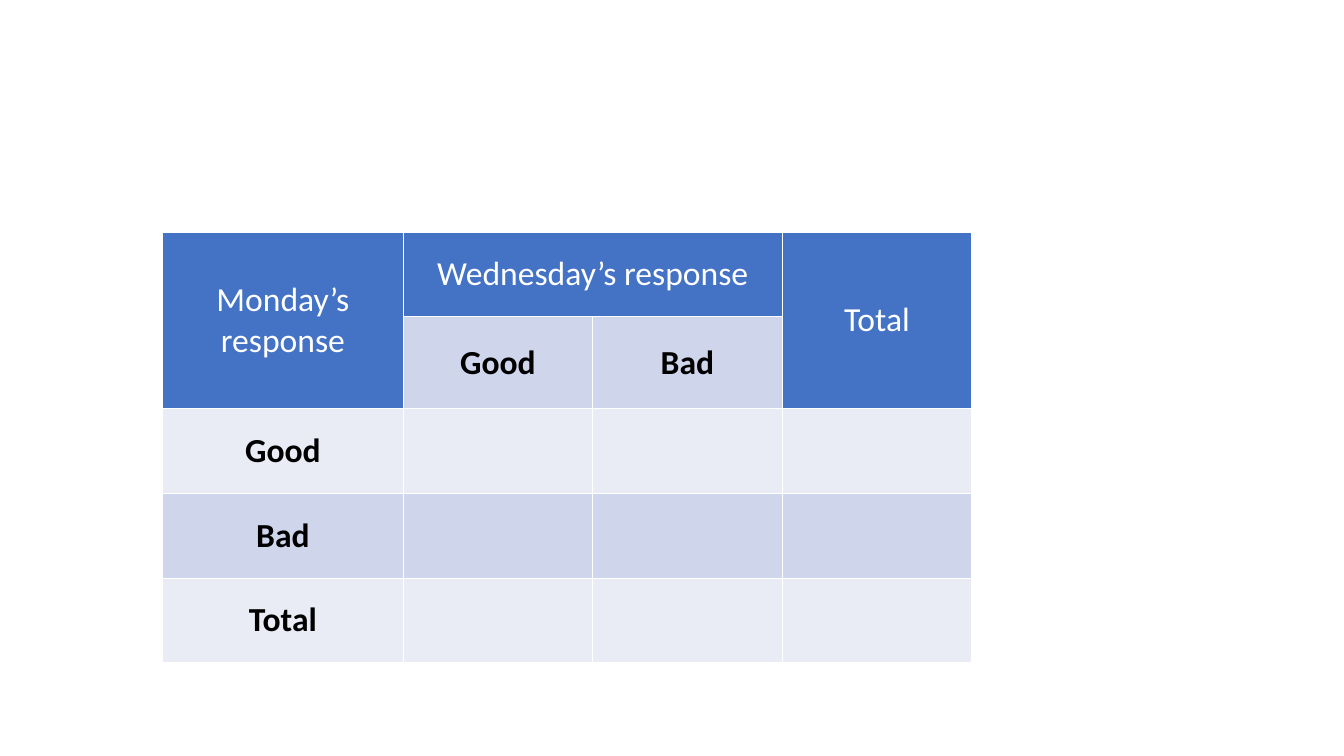
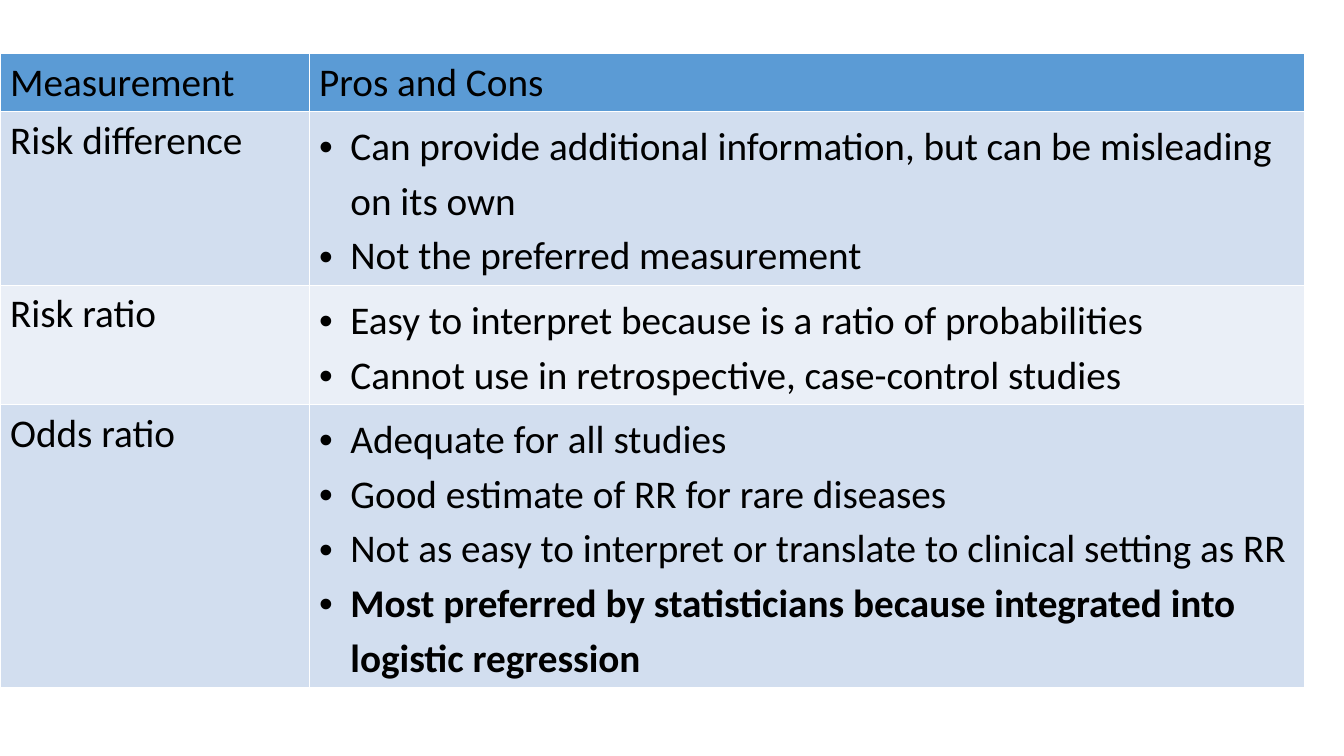
from dataclasses import dataclass

from lxml.etree import SubElement
from pptx import Presentation
from pptx.dml.color import RGBColor
from pptx.enum.text import MSO_ANCHOR, PP_ALIGN
from pptx.oxml.ns import qn
from pptx.util import Inches, Pt


@dataclass(frozen=True)
class Theme:
    """Colours and type sizes of one table look."""
    header: str
    bands: tuple
    header_text: str
    size: int
    body_text: str = "000000"
    font: str = "Calibri"
    bullet_font: str = "Arial"
    bullet_indent: float = 0.31
    bullet_spacing: float = 1.14


SURVEY = Theme("4472C4", ("CFD5EA", "E9EBF5"), "FFFFFF", 24)
MEASURES = Theme("5B9BD5", ("D2DEEF", "EAEFF7"), "000000", 28)


class Deck:
    """Holds the presentation, the theme and the current slide."""

    def __init__(self):
        """Start a wide presentation."""
        self.presentation = Presentation()
        self.presentation.slide_width = Inches(13.33)
        self.presentation.slide_height = Inches(7.5)

    def across(self, percent):
        """Return a percentage of the slide width."""
        return round(self.presentation.slide_width * percent / 100)

    def down(self, percent):
        """Return a percentage of the slide height."""
        return round(self.presentation.slide_height * percent / 100)

    def new_slide(self, theme):
        """Add a blank slide drawn in the given theme."""
        self.theme = theme
        self.slide = self.presentation.slides.add_slide(self.presentation.slide_layouts[6])

    def table(self, left, top, widths, row_height, height, row_count):
        """Add a table placed in percentages, with header and band fills."""
        frame = self.slide.shapes.add_table(
            row_count, len(widths), self.across(left), self.down(top),
            self.across(sum(widths)), self.down(height))
        table = frame.table
        for column, width in zip(table.columns, widths):
            column.width = self.across(width)
        for index, row in enumerate(table.rows):
            row.height = self.down(row_height)
            colour = self.theme.bands[(index - 1) % 2] if index else self.theme.header
            for cell in row.cells:
                self.fill(cell, colour)
        frame.height = self.down(height)
        return table

    def fill(self, cell, colour):
        """Give a cell a solid colour."""
        cell.fill.solid()
        cell.fill.fore_color.rgb = RGBColor.from_string(colour)

    def run(self, paragraph, text, colour, bold=False):
        """Add one styled run to a paragraph."""
        run = paragraph.add_run()
        run.text = text
        run.font.name = self.theme.font
        run.font.size = Pt(self.theme.size)
        run.font.bold = bold
        run.font.color.rgb = RGBColor.from_string(colour)

    def label(self, cell, text, header=False, bold=False, centred=False):
        """Write a single label in a cell."""
        paragraph = cell.text_frame.paragraphs[0]
        if centred:
            paragraph.alignment = PP_ALIGN.CENTER
            cell.vertical_anchor = MSO_ANCHOR.MIDDLE
        colour = self.theme.header_text if header else self.theme.body_text
        self.run(paragraph, text, colour, bold)

    def bullets(self, cell, points, key_point=None):
        """Write bulleted points in a cell, with the key point in bold."""
        for index, point in enumerate(points):
            frame = cell.text_frame
            paragraph = frame.add_paragraph() if index else frame.paragraphs[0]
            paragraph.line_spacing = self.theme.bullet_spacing
            properties = paragraph._p.get_or_add_pPr()
            indent = Inches(self.theme.bullet_indent)
            properties.set("marL", str(indent))
            properties.set("indent", str(-indent))
            SubElement(properties, qn("a:buFont")).set("typeface", self.theme.bullet_font)
            SubElement(properties, qn("a:buChar")).set("char", "•")
            self.run(paragraph, point, self.theme.body_text, point == key_point)


def survey_slide(deck):
    """Build the empty table of Monday against Wednesday responses."""
    deck.new_slide(SURVEY)
    responses = deck.table(12.1, 30.7, (17.9, 14.1, 14.1, 14.1), 11.2, 56, 5)
    headings = (
        ("Monday’s response", (0, 0), (1, 0)),
        ("Wednesday’s response", (0, 1), (0, 2)),
        ("Total", (0, 3), (1, 3)),
    )
    for heading, first, last in headings:
        origin = responses.cell(*first)
        origin.merge(responses.cell(*last))
        deck.fill(responses.cell(*last), deck.theme.header)
        deck.label(origin, heading, header=True, centred=True)
    for column, answer in enumerate(("Good", "Bad"), 1):
        deck.label(responses.cell(1, column), answer, bold=True, centred=True)
    for row, answer in enumerate(("Good", "Bad", "Total"), 2):
        deck.label(responses.cell(row, 0), answer, bold=True, centred=True)


def measurement_slide(deck):
    """Build the comparison of the three measurements."""
    deck.new_slide(MEASURES)
    preferred = "Most preferred by statisticians because integrated into logistic regression"
    measurements = {
        "Risk difference": (
            "Can provide additional information, but can be misleading on its own",
            "Not the preferred measurement",
        ),
        "Risk ratio": (
            "Easy to interpret because is a ratio of probabilities",
            "Cannot use in retrospective, case-control studies",
        ),
        "Odds ratio": (
            "Adequate for all studies",
            "Good estimate of RR for rare diseases",
            "Not as easy to interpret or translate to clinical setting as RR",
            preferred,
        ),
    }
    comparison = deck.table(0, 7.1, (23, 74.1), 5.5, 81.3, len(measurements) + 1)
    for column, heading in enumerate(("Measurement", "Pros and Cons")):
        deck.label(comparison.cell(0, column), heading, header=True)
    for row, (measurement, points) in enumerate(measurements.items(), 1):
        deck.label(comparison.cell(row, 0), measurement)
        deck.bullets(comparison.cell(row, 1), points, preferred)


def main():
    """Build and save the slides."""
    deck = Deck()
    survey_slide(deck)
    measurement_slide(deck)
    deck.presentation.save("out.pptx")


if __name__ == "__main__":
    main()
